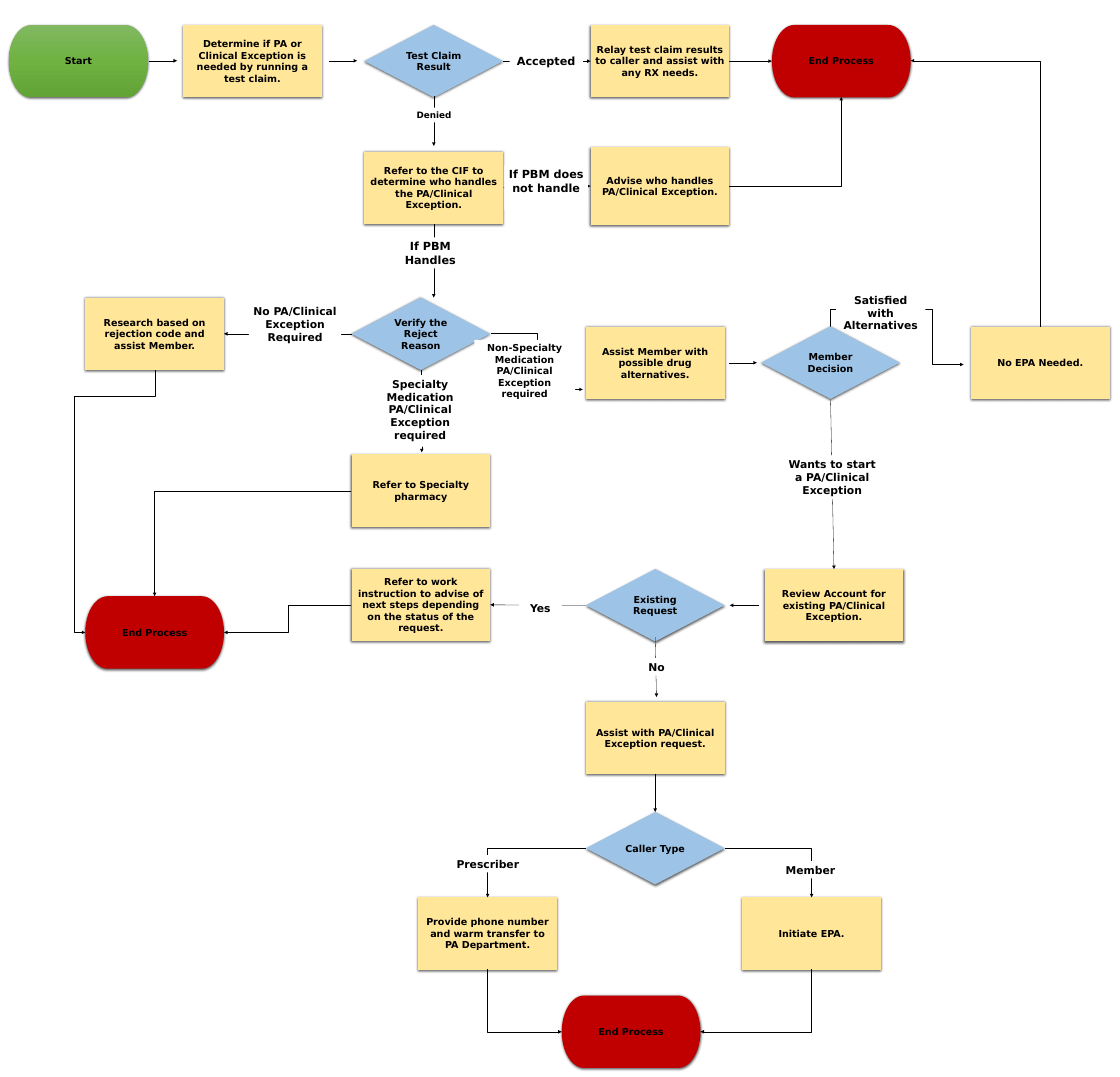
from lxml.etree import SubElement
from pptx import Presentation
from pptx.dml.color import RGBColor
from pptx.enum.shapes import MSO_CONNECTOR, MSO_SHAPE
from pptx.enum.text import MSO_ANCHOR, MSO_AUTO_SIZE, PP_ALIGN
from pptx.oxml import parse_xml
from pptx.oxml.ns import qn, nsdecls
from pptx.util import Inches, Pt

COLORS = {"step": "FFE699", "choice": "9DC3E6", "end": "C00000", "ink": "000000", "paper": "FFFFFF"}
START_STOPS = {0: "81B861", 50000: "6FB242", 100000: "62A336"}
KINDS = {
    "start": MSO_SHAPE.FLOWCHART_TERMINATOR,
    "end": MSO_SHAPE.FLOWCHART_TERMINATOR,
    "step": MSO_SHAPE.FLOWCHART_PROCESS,
    "choice": MSO_SHAPE.FLOWCHART_DECISION,
}
NODE_W, NODE_H = 3.22, 1.68
TOP, LEFT, BOTTOM, RIGHT = range(4)

prs = Presentation()
prs.slide_width, prs.slide_height = Inches(26), Inches(25)
s = prs.slides.add_slide(prs.slide_layouts[6])


def write(tf, text, size):
    tf.word_wrap = True
    for i, line in enumerate(text.split("\n")):
        p = tf.paragraphs[0] if i == 0 else tf.add_paragraph()
        p.alignment = PP_ALIGN.CENTER
        r = p.add_run()
        r.text = line
        for name, value in {"name": "DejaVu Sans", "size": Pt(size), "bold": True}.items():
            setattr(r.font, name, value)
        r.font.color.rgb = RGBColor.from_string(COLORS["ink"])


def style_line(c):
    c.line.color.rgb = RGBColor.from_string(COLORS["ink"])
    c.line.width = Pt(0.5)
    SubElement(c.line._get_or_add_ln(), qn("a:tailEnd"), type="triangle")
    SubElement(c._element.spPr, qn("a:effectLst"))


nodes = {}
for key, kind, x, y, text in [
    ("start", "start", 0.21, 0.58, "Start"),
    ("determine", "step", 4.25, 0.58, "Determine if PA or Clinical Exception is needed by running a test claim."),
    ("result", "choice", 8.46, 0.58, "Test Claim Result"),
    ("relay", "step", 13.71, 0.58, "Relay test claim results to caller and assist with any RX needs."),
    ("end top", "end", 17.92, 0.58, "End Process"),
    ("refer cif", "step", 8.46, 3.52, "Refer to the CIF to determine who handles the PA/Clinical Exception."),
    ("advise", "step", 13.71, 3.42, "Advise who handles PA/Clinical Exception."),
    ("research", "step", 1.98, 6.91, "Research based on rejection code and assist Member."),
    ("verify", "choice", 8.16, 6.91, "Verify the Reject Reason"),
    ("alternatives", "step", 13.6, 7.58, "Assist Member with possible drug alternatives."),
    ("decision", "choice", 17.67, 7.58, "Member Decision"),
    ("no epa", "step", 22.54, 7.58, "No EPA Needed."),
    ("specialty", "step", 8.16, 10.55, "Refer to Specialty pharmacy"),
    ("end left", "end", 1.98, 13.84, "End Process"),
    ("instruction", "step", 8.16, 13.2,
     "Refer to work instruction to advise of next steps depending on the status of the request."),
    ("existing", "choice", 13.6, 13.21, "Existing Request"),
    ("review", "step", 17.75, 13.21, "Review Account for existing PA/Clinical Exception."),
    ("assist", "step", 13.6, 16.29, "Assist with PA/Clinical Exception request."),
    ("caller", "choice", 13.6, 18.85, "Caller Type"),
    ("phone", "step", 9.71, 20.83, "Provide phone number and warm transfer to PA Department."),
    ("initiate", "step", 17.23, 20.83, "Initiate EPA."),
    ("end bottom", "end", 13.04, 23.11, "End Process"),
]:
    height = 1.8 if key == "advise" else NODE_H
    sp = s.shapes.add_shape(KINDS[kind], Inches(x), Inches(y), Inches(NODE_W), Inches(height))
    if kind == "start":
        stops = "".join(f'<a:gs pos="{pos}"><a:srgbClr val="{c}"/></a:gs>' for pos, c in START_STOPS.items())
        sp._element.spPr.insert(2, parse_xml(
            f'<a:gradFill {nsdecls("a")} rotWithShape="1"><a:gsLst>{stops}</a:gsLst>'
            '<a:lin ang="5400000" scaled="0"/></a:gradFill>'))
    else:
        sp.fill.solid()
        sp.fill.fore_color.rgb = RGBColor.from_string(COLORS[kind])
    sp.line.fill.background()
    sp.shadow.inherit = False
    sp._element.spPr.find(qn("a:effectLst")).append(parse_xml(
        f'<a:outerShdw {nsdecls("a")} blurRad="57150" dist="19050" dir="5400000" algn="ctr" rotWithShape="0">'
        f'<a:srgbClr val="{COLORS["ink"]}"><a:alpha val="63000"/></a:srgbClr></a:outerShdw>'))
    sp.text_frame.vertical_anchor = MSO_ANCHOR.MIDDLE
    write(sp.text_frame, text, 16)
    nodes[key] = sp

for start, end in [
    ((3.45, 1.41), (4.11, 1.41)),
    ((7.64, 1.41), (8.29, 1.41)),
    (("result", RIGHT), ("relay", LEFT)),
    (("relay", RIGHT), ("end top", LEFT)),
    ((10.07, 2.24), (10.07, 3.39)),
    (("refer cif", RIGHT), ("advise", LEFT)),
    (("refer cif", BOTTOM), (10.07, 6.91)),
    (("verify", LEFT), ("research", RIGHT)),
    ((16.92, 8.42), (17.57, 8.42)),
    (("decision", BOTTOM), ("review", TOP)),
    ((17.62, 14.05), (16.94, 14.05)),
    (("existing", LEFT), ("instruction", RIGHT)),
    ((15.21, 14.79), (15.24, 16.18)),
    (("assist", BOTTOM), ("caller", TOP)),
]:
    joined = [isinstance(point[0], str) for point in (start, end)]
    ends = [Inches(v) for point, j in zip((start, end), joined) for v in ((0, 0) if j else point)]
    c = s.shapes.add_connector(MSO_CONNECTOR.STRAIGHT, *ends)
    if joined[0]:
        c.begin_connect(nodes[start[0]], start[1])
    if joined[1]:
        c.end_connect(nodes[end[0]], end[1])
    style_line(c)

for x1, y1, x2, y2, first, bends, adjusts in [
    (24.15, 7.58, 21.14, 1.41, "vertical", 2, []),
    (16.93, 4.32, 19.53, 2.25, "horizontal", 2, []),
    (9.77, 8.58, 9.79, 10.5, "vertical", 3, [0.5]),
    (11.39, 7.74, 13.53, 9.04, "horizontal", 3, [0.5]),
    (19.28, 7.58, 22.37, 8.46, "vertical", 4, [-0.46, 0.76]),
    (3.59, 8.59, 1.98, 14.68, "vertical", 4, [0.1, 1.16]),
    (8.16, 11.39, 3.59, 13.84, "horizontal", 2, []),
    (8.16, 14.04, 5.2, 14.68, "horizontal", 3, [0.5]),
    (13.6, 19.69, 11.32, 20.83, "horizontal", 2, []),
    (16.82, 19.69, 18.84, 20.83, "horizontal", 2, []),
    (11.32, 22.5, 13.04, 23.95, "vertical", 2, []),
    (18.84, 22.5, 16.26, 23.95, "vertical", 2, []),
]:
    c = s.shapes.add_connector(MSO_CONNECTOR.ELBOW, *map(Inches, (x1, y1, x2, y2)))
    spPr = c._element.spPr
    if first == "vertical":
        w, h = abs(y2 - y1), abs(x2 - x1)
        c.left, c.top = Inches((x1 + x2 - w) / 2), Inches((y1 + y2 - h) / 2)
        c.width, c.height = Inches(w), Inches(h)
        down = y2 > y1
        flip = (x2 > x1) == down
        for name, value in {"rot": "5400000" if down else "16200000", "flipH": "0", "flipV": str(int(flip))}.items():
            spPr.find(qn("a:xfrm")).set(name, value)
    geom = spPr.find(qn("a:prstGeom"))
    geom.set("prst", f"bentConnector{bends}")
    guides = geom.find(qn("a:avLst"))
    if guides is None:
        guides = SubElement(geom, qn("a:avLst"))
    for i, adjust in enumerate(adjusts, 1):
        SubElement(guides, qn("a:gd"), name=f"adj{i}", fmla=f"val {round(adjust * 100000)}")
    style_line(c)

for x, y, w, h, size, text in [
    (9.1, 2.5, 1.95, 0.34, 14.7, "Denied"),
    (11.83, 1.22, 1.7, 0.42, 18.7, "Accepted"),
    (8.88, 5.51, 2.22, 0.72, 18.7, "If PBM Handles"),
    (11.71, 3.84, 1.94, 1.03, 18.7, "If PBM does not handle"),
    (5.78, 7.03, 2.14, 1.31, 18, "No PA/Clinical Exception\nRequired"),
    (8.45, 8.71, 2.61, 1.66, 18, "Specialty Medication PA/Clinical Exception required"),
    (11.01, 7.89, 2.34, 1.45, 16, "Non-Specialty Medication\nPA/Clinical Exception required"),
    (19.41, 6.76, 2.07, 1.01, 18, "Satisfied with\nAlternatives"),
    (18.19, 10.57, 2.26, 1.01, 18, "Wants to start a PA/Clinical Exception"),
    (12.05, 13.91, 0.99, 0.4, 18, "Yes"),
    (14.84, 15.28, 0.8, 0.4, 18, "No"),
    (10.4, 19.85, 1.85, 0.4, 18, "Prescriber"),
    (17.92, 19.99, 1.79, 0.4, 18, "Member"),
]:
    sp = s.shapes.add_textbox(*map(Inches, (x, y, w, h)))
    sp.fill.solid()
    sp.fill.fore_color.rgb = RGBColor.from_string(COLORS["paper"])
    write(sp.text_frame, text, size)
    sp.text_frame.auto_size = MSO_AUTO_SIZE.SHAPE_TO_FIT_TEXT

s.shapes._spTree.append(nodes["decision"]._element)
prs.save("out.pptx")
